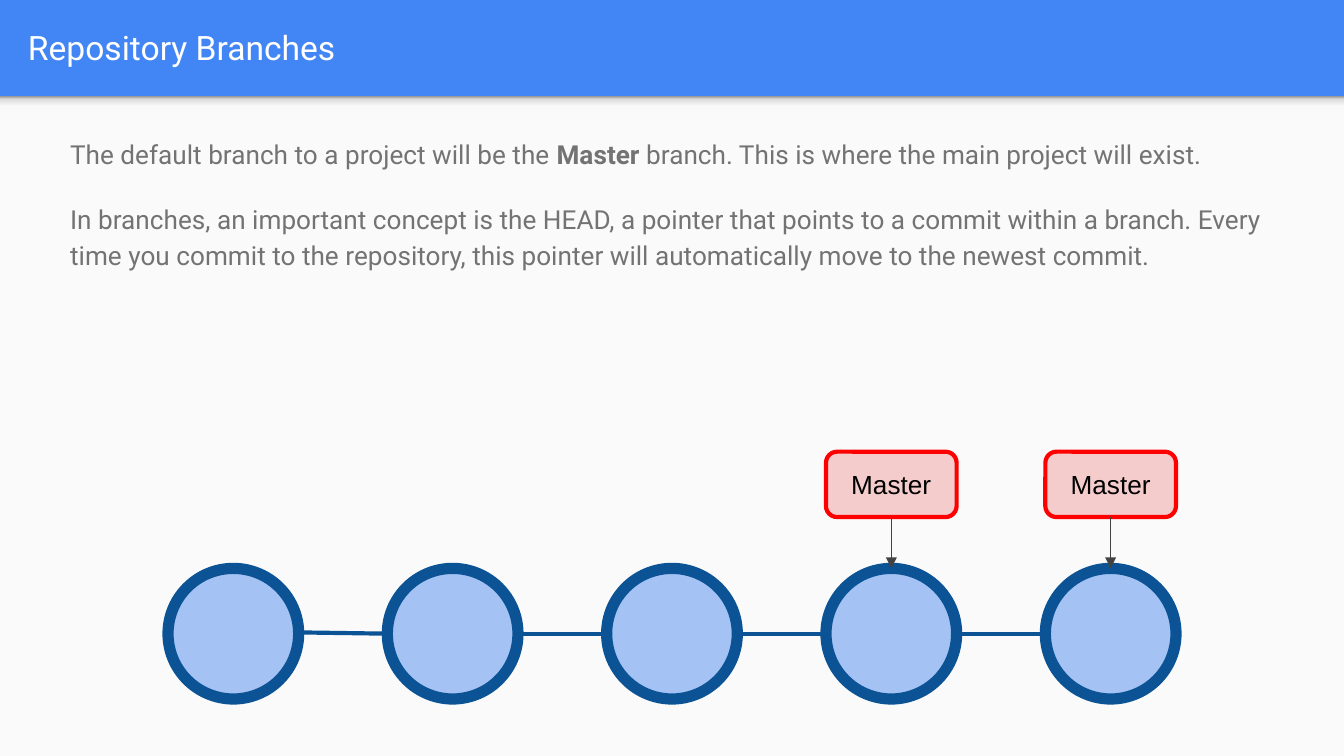
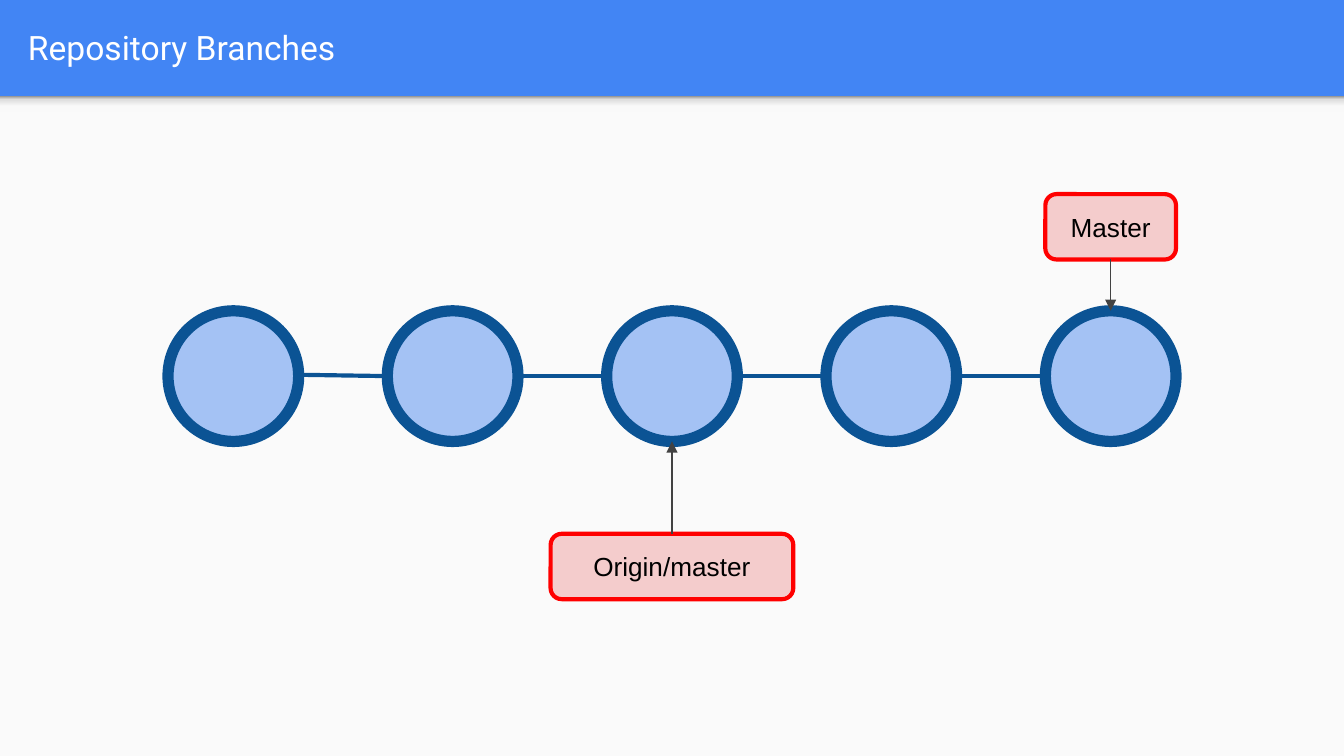
from dataclasses import dataclass

import lxml.etree
import pptx
import pptx.dml.color
import pptx.enum.shapes
import pptx.enum.text
import pptx.oxml.ns
import pptx.util

Pt = pptx.util.Pt
qn = pptx.oxml.ns.qn
ShapeKind = pptx.enum.shapes.MSO_SHAPE
Align = pptx.enum.text.PP_ALIGN
Anchor = pptx.enum.text.MSO_ANCHOR

COLORS = {
    "band": "4285F4",
    "page": "FAFAFA",
    "title": "FFFFFF",
    "body": "737373",
    "commit": "A4C2F4",
    "commit_line": "0B5394",
    "label": "F4CCCC",
    "label_line": "FF0000",
    "label_text": "000000",
    "pointer": "424242",
}
SHADOW_STOPS = [(0, "F9F9F9"), (36, "F9F9F9"), (80, "DEDEDE"), (100, "999999")]
FONTS = {
    "title": {"name": "Roboto", "size": Pt(18)},
    "body": {"name": "Roboto", "size": Pt(14)},
    "label_text": {"name": "Arial", "size": Pt(14)},
}
FRAME = {
    "word_wrap": True,
    "margin_left": Pt(7.2),
    "margin_right": Pt(7.2),
    "margin_top": Pt(7.2),
    "margin_bottom": Pt(7.2),
}

SLIDE_WIDTH, SLIDE_HEIGHT = 720, 405
BAND_HEIGHT = 51.6
COMMIT_COUNT, COMMIT_SIZE = 5, 70
FIRST_COMMIT, COMMIT_PITCH = 125, 117.5
LABEL_HEIGHT = 35
FIRST_LINK_RISE = 0.7

TITLE = "Repository Branches"
BODY = [
    [
        ("The default branch to a project will be the ", False),
        ("Master ", True),
        ("branch. This is where the main project will exist.", False),
    ],
    [
        (
            "In branches, an important concept is the HEAD, a pointer that points to a "
            "commit within a branch. Every time you commit to the repository, this "
            "pointer will automatically move to the newest commit.",
            False,
        ),
    ],
]


@dataclass
class Box:
    left: float
    top: float
    width: float
    height: float

    def lengths(self) -> list:
        return [Pt(v) for v in (self.left, self.top, self.width, self.height)]


@dataclass
class BranchLabel:
    text: str
    commit: int
    width: float = 70
    gap: float = 27.5
    below: bool = False


@dataclass
class BranchSlide:
    center_y: float
    labels: list[BranchLabel]
    body: list


SLIDES = [
    BranchSlide(339.5, [BranchLabel("Master", 4), BranchLabel("Master", 3)], BODY),
    BranchSlide(
        201.5,
        [
            BranchLabel("Master", 4),
            BranchLabel("Origin/master", 2, width=130, gap=49.5, below=True),
        ],
        [],
    ),
]


def apply(target, values: dict) -> None:
    for name, value in values.items():
        setattr(target, name, value)


def rgb(name: str) -> pptx.dml.color.RGBColor:
    return pptx.dml.color.RGBColor.from_string(COLORS[name])


def add_shape(slide, kind, box: Box, fill: str, line: str = "", weight: float = 0):
    shape = slide.shapes.add_shape(kind, *box.lengths())
    shape.shadow.inherit = False
    shape.fill.solid()
    shape.fill.fore_color.rgb = rgb(fill)
    if line:
        shape.line.color.rgb = rgb(line)
        shape.line.width = Pt(weight)
    else:
        shape.line.fill.background()
    return shape


def add_line(slide, start: tuple, end: tuple, color: str, weight: float, arrow: bool = False) -> None:
    connector = slide.shapes.add_connector(
        pptx.enum.shapes.MSO_CONNECTOR.STRAIGHT, *[Pt(v) for v in (*start, *end)]
    )
    connector.line.color.rgb = rgb(color)
    connector.line.width = Pt(weight)
    properties = connector._element.spPr
    if arrow:
        lxml.etree.SubElement(properties.find(qn("a:ln")), qn("a:tailEnd"), type="triangle")
    lxml.etree.SubElement(properties, qn("a:effectLst"))


def write_text(shape, paragraphs: list, style: str, anchor, paragraph_format: dict, gap: float = 0) -> None:
    frame = shape.text_frame
    apply(frame, FRAME | {"vertical_anchor": anchor})
    for index, runs in enumerate(paragraphs):
        paragraph = frame.add_paragraph() if index else frame.paragraphs[0]
        apply(paragraph, paragraph_format)
        if index:
            paragraph.space_before = Pt(gap)
        for text, bold in runs:
            run = paragraph.add_run()
            run.text = text
            apply(run.font, FONTS[style] | {"bold": bold})
            run.font.color.rgb = rgb(style)


def add_band_shadow(slide) -> None:
    shadow = add_shape(slide, ShapeKind.RECTANGLE, Box(0, BAND_HEIGHT, SLIDE_WIDTH, 8.6), "page")
    shadow.fill.gradient()
    shadow.fill.gradient_angle = 90
    stops = shadow._element.spPr.find(".//" + qn("a:gsLst"))
    for stop in list(stops):
        stops.remove(stop)
    for position, color in SHADOW_STOPS:
        stop = lxml.etree.SubElement(stops, qn("a:gs"), pos=str(position * 1000))
        lxml.etree.SubElement(stop, qn("a:srgbClr"), val=color)


def add_page(presentation):
    slide = presentation.slides.add_slide(presentation.slide_layouts[6])
    slide.background.fill.solid()
    slide.background.fill.fore_color.rgb = rgb("band")
    page = Box(0, BAND_HEIGHT, SLIDE_WIDTH, SLIDE_HEIGHT - BAND_HEIGHT)
    add_shape(slide, ShapeKind.RECTANGLE, page, "page")
    add_band_shadow(slide)
    title = slide.shapes.add_textbox(*Box(7.9, 1.6, 695, 47.5).lengths())
    write_text(title, [[(TITLE, False)]], "title", Anchor.MIDDLE, {"alignment": Align.LEFT})
    return slide


def commit_x(index: int) -> float:
    return FIRST_COMMIT + index * COMMIT_PITCH


def add_commits(slide, center_y: float) -> None:
    radius = COMMIT_SIZE / 2
    for index in range(COMMIT_COUNT):
        box = Box(commit_x(index) - radius, center_y - radius, COMMIT_SIZE, COMMIT_SIZE)
        add_shape(slide, ShapeKind.OVAL, box, "commit", "commit_line", 6)
    for index in range(COMMIT_COUNT - 1):
        rise = 0 if index else FIRST_LINK_RISE
        start = (commit_x(index) + radius, center_y - rise)
        end = (commit_x(index + 1) - radius, center_y)
        add_line(slide, start, end, "commit_line", 2.25)


def add_label(slide, label: BranchLabel, center_y: float) -> None:
    direction = 1 if label.below else -1
    x = commit_x(label.commit)
    commit_edge = center_y + direction * COMMIT_SIZE / 2
    label_edge = commit_edge + direction * label.gap
    top = label_edge if label.below else label_edge - LABEL_HEIGHT
    box = Box(x - label.width / 2, top, label.width, LABEL_HEIGHT)
    shape = add_shape(slide, ShapeKind.ROUNDED_RECTANGLE, box, "label", "label_line", 2.25)
    shape.adjustments[0] = 0.17
    write_text(shape, [[(label.text, False)]], "label_text", Anchor.MIDDLE, {"alignment": Align.CENTER})
    add_line(slide, (x, label_edge), (x, commit_edge), "pointer", 0.75, arrow=True)


def main() -> None:
    presentation = pptx.Presentation()
    apply(presentation, {"slide_width": Pt(SLIDE_WIDTH), "slide_height": Pt(SLIDE_HEIGHT)})
    for content in SLIDES:
        slide = add_page(presentation)
        if content.body:
            body = slide.shapes.add_textbox(*Box(30.5, 64.2, 659, 317).lengths())
            write_text(body, content.body, "body", Anchor.TOP, {"line_spacing": 1.15}, gap=16)
        add_commits(slide, content.center_y)
        for label in content.labels:
            add_label(slide, label, content.center_y)
    presentation.save("out.pptx")


if __name__ == "__main__":
    main()
